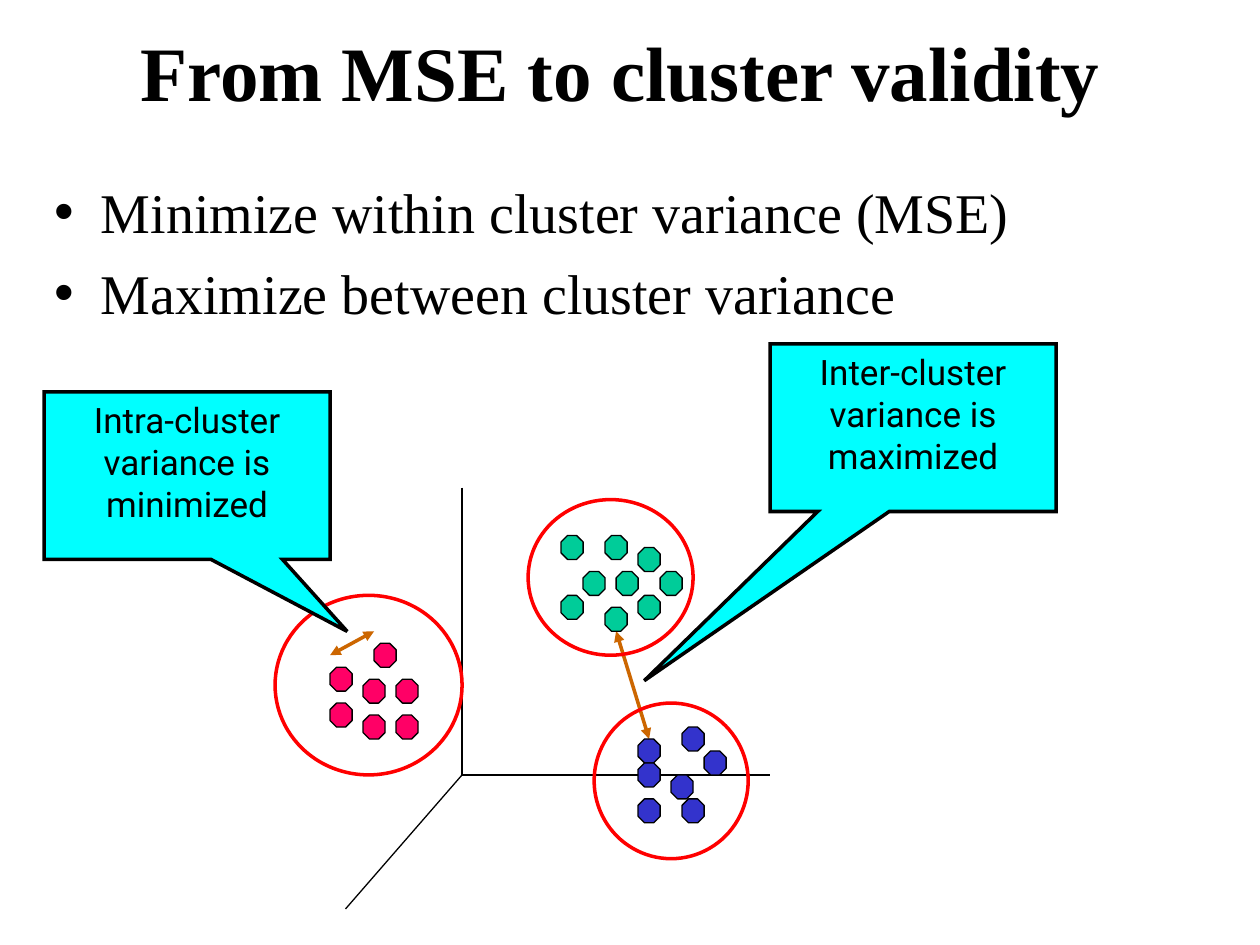
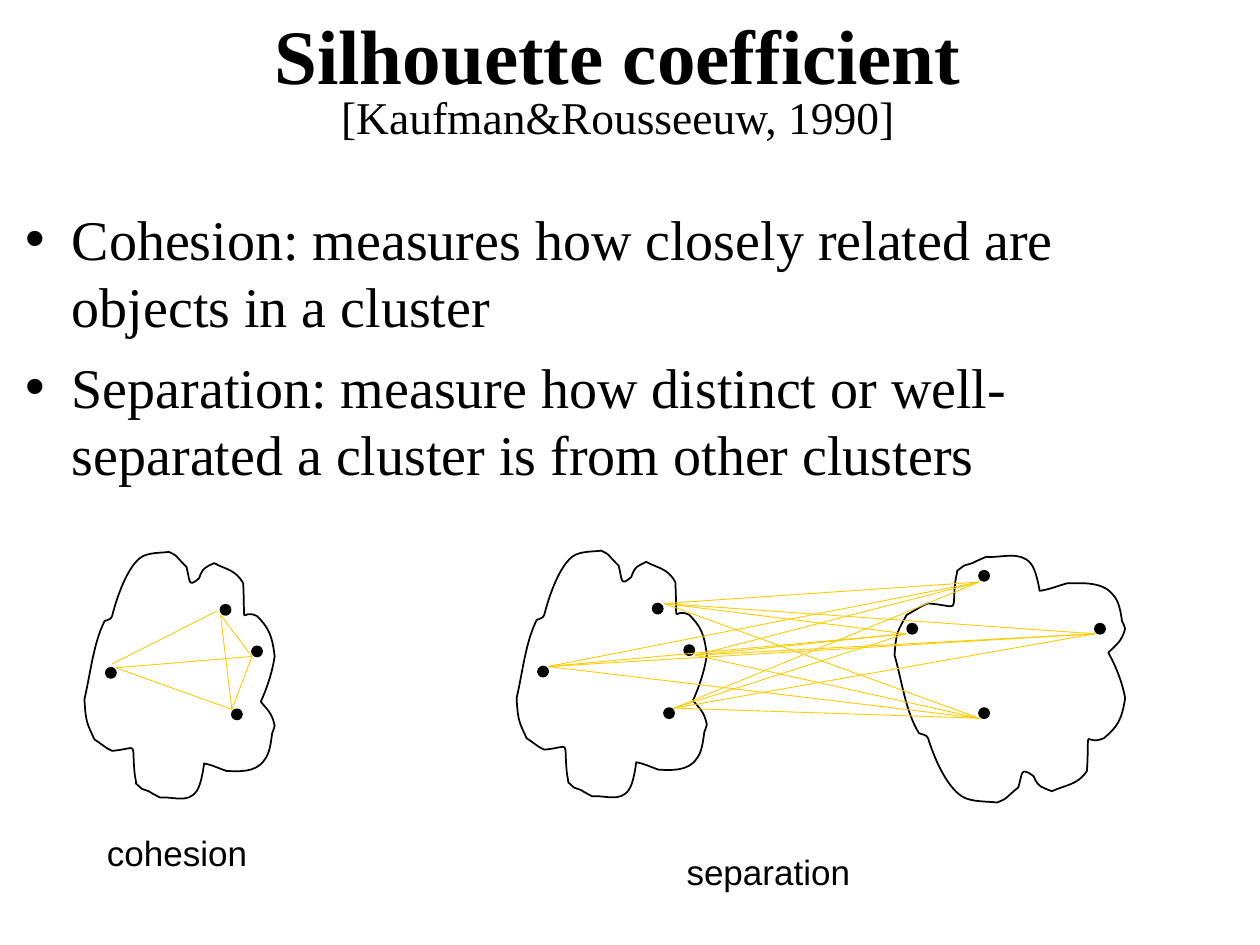
from itertools import combinations, product

from lxml.etree import SubElement
from pptx import Presentation
from pptx.dml.color import RGBColor
from pptx.enum.shapes import MSO_CONNECTOR, MSO_SHAPE as SHAPE
from pptx.enum.text import MSO_ANCHOR as ANCHOR, MSO_AUTO_SIZE as FIT, PP_ALIGN as ALIGN
from pptx.oxml.ns import qn
from pptx.util import Inches, Pt

COLORS = {
    "black": "000000", "green": "00CC99", "pink": "FF0066", "blue": "3333CC",
    "cyan": "00FFFF", "red": "FF0000", "brown": "CC6600", "gold": "FFCC00",
}
SERIF = "Times New Roman"


def style(sp, fill, line, width):
    sp.shadow.inherit = False
    if fill:
        sp.fill.solid()
        sp.fill.fore_color.rgb = RGBColor.from_string(COLORS[fill])
    else:
        sp.fill.background()
    sp.line.color.rgb = RGBColor.from_string(COLORS[line])
    sp.line.width = Pt(width)


def connect(s, start, end, color, width, arrows=False):
    cn = s.shapes.add_connector(
        MSO_CONNECTOR.STRAIGHT, *[Inches(v) for v in (*start, *end)])
    cn.line.color.rgb = RGBColor.from_string(COLORS[color])
    cn.line.width = Pt(width)
    if arrows:
        ln = cn.line._get_or_add_ln()
        for tag in ("a:headEnd", "a:tailEnd"):
            SubElement(ln, qn(tag), type="triangle")
    SubElement(cn._element.spPr, qn("a:effectLst"))


prs = Presentation()
prs.slide_width, prs.slide_height = Inches(10), Inches(7.5)

content = [
    ("From MSE to cluster validity", (0.2, 0.14, 9.45, 0.85), 1,
     ["Minimize within cluster variance (MSE)", "Maximize between cluster variance"],
     (0.43, 1.41, 7.62, 1.4)),
    ("Silhouette coefficient\v[Kaufman&Rousseeuw, 1990]", (0.24, 0.27, 9.33, 0.8), 0.8,
     ["Cohesion: measures how closely related are objects in a cluster",
      "Separation: measure how distinct or well-separated a cluster is from other clusters"],
     (0.2, 1.62, 9.37, 4.33)),
]
for title, title_box, spacing, bullets, body_box in content:
    s = prs.slides.add_slide(prs.slide_layouts[1])
    for sp, box in zip(s.placeholders, (title_box, body_box)):
        sp.left, sp.top, sp.width, sp.height = [Inches(v) for v in box]
        tf = sp.text_frame
        tf.margin_left = tf.margin_right = tf.margin_top = tf.margin_bottom = 0
        tf.auto_size = FIT.NONE
        tf.word_wrap = True

    tf = s.shapes.title.text_frame
    tf.vertical_anchor = ANCHOR.MIDDLE
    p = tf.paragraphs[0]
    p.text = title
    p.alignment = ALIGN.CENTER
    p.line_spacing = spacing
    for r, size, bold in zip(p.runs, (44, 26), (True, False)):
        r.font.name, r.font.size, r.font.bold = SERIF, Pt(size), bold
        r.font.color.rgb = RGBColor.from_string(COLORS["black"])

    tf = s.placeholders[1].text_frame
    tf.vertical_anchor = ANCHOR.TOP
    tf.text = "\n".join(bullets)
    for i, p in enumerate(tf.paragraphs):
        pPr = p._p.get_or_add_pPr()
        pPr.set("marL", str(Inches(0.37)))
        pPr.set("indent", str(-Inches(0.37)))
        p.space_before = Pt(8 if i else 0)
        p.line_spacing = 1.0
        p.runs[0].font.name, p.runs[0].font.size = SERIF, Pt(32)
        p.runs[0].font.color.rgb = RGBColor.from_string(COLORS["black"])

s = prs.slides[0]
LEFT, TOP = 2.62, 4.25
COL, ROW = 2.27 / 26, 1.33 / 14

axes = [((12, -4), (12, 20)), ((12, 20), (40, 20)), ((12, 20), (1.4, 31.2))]
arrows = [((29, 17), (26, 8)), ((0, 10), (4, 8))]
clusters = {
    "green": [(2, 3), (5, 3), (4, 0), (4, 6), (9, 3), (7, 1), (0, 0), (7, 5), (0, 5)],
    "pink": [(0, 11), (3, 12), (3, 15), (6, 12), (4, 9), (6, 15), (0, 14)],
    "blue": [(7, 17), (13, 18), (10, 20), (7, 22), (11, 22), (7, 19), (11, 16)],
}
offsets = {"green": 21, "pink": 0, "blue": 21}
callouts = [
    ("Inter-cluster variance is maximized", 40, -16, (-0.94, 1.51)),
    ("Intra-cluster variance is minimized", -26, -12, (0.56, 0.93)),
]
circles = [(-5, 5, 17, 15), (18, -3, 15, 13), (24, 14, 14, 13)]

for group, color, width in ((axes, "black", 0.75), (arrows, "brown", 2)):
    for ends in group:
        start, end = [(LEFT + c * COL, TOP + r * ROW) for c, r in ends]
        connect(s, start, end, color, width, group is arrows)

for color, cells in clusters.items():
    for col, row in cells:
        sp = s.shapes.add_shape(
            SHAPE.OCTAGON, Inches(LEFT + (col + offsets[color]) * COL),
            Inches(TOP + row * ROW), Inches(2 * COL), Inches(2 * ROW))
        style(sp, color, "black", 0.75)

for c, r, w, h in circles:
    sp = s.shapes.add_shape(
        SHAPE.OVAL, Inches(LEFT + c * COL), Inches(TOP + r * ROW),
        Inches(w * COL), Inches(h * ROW))
    style(sp, None, "red", 2)

for text, col, row, tip in callouts:
    sp = s.shapes.add_shape(
        SHAPE.RECTANGULAR_CALLOUT, Inches(LEFT + col * COL), Inches(TOP + row * ROW),
        Inches(26 * COL), Inches(14 * ROW))
    sp.adjustments[0], sp.adjustments[1] = tip
    style(sp, "cyan", "black", 2)
    SubElement(sp.line._get_or_add_ln(), qn("a:miter"), lim="800000")
    tf = sp.text_frame
    tf.text = text
    tf.word_wrap = True
    tf.vertical_anchor = ANCHOR.TOP
    p = tf.paragraphs[0]
    p.alignment = ALIGN.CENTER
    p.runs[0].font.name, p.runs[0].font.size = "Roboto", Pt(20)
    p.runs[0].font.color.rgb = RGBColor.from_string(COLORS["black"])

s = prs.slides[1]
blob_start = (16, 55)
blob_curves = [
    ((7, 73), (5, 96), (0, 117)), ((1, 135), (2, 136), (8, 149)),
    ((13, 152), (17, 156), (22, 158)), ((44, 156), (37, 149), (40, 177)),
    ((40, 179), (41, 181), (41, 184)), ((48, 190), (43, 187), (51, 190)),
    ((54, 192), (60, 195), (60, 195)), ((70, 194), (82, 200), (89, 190)),
    ((93, 185), (95, 168), (95, 168)), ((101, 169), (107, 172), (113, 174)),
    ((121, 174), (136, 176), (143, 165)), ((147, 160), (148, 152), (149, 144)),
    ((150, 142), (151, 138), (151, 138)), ((149, 128), (145, 125), (140, 119)),
    ((145, 108), (149, 96), (151, 83)), ((149, 66), (146, 60), (137, 51)),
    ((123, 44), (128, 65), (126, 25)), ((120, 14), (112, 14), (103, 9)),
    ((97, 12), (94, 12), (91, 21)), ((82, 29), (84, 23), (81, 12)),
    ((70, 1), (75, 4), (67, 0)), ((63, 1), (50, 0), (44, 5)),
    ((34, 13), (26, 35), (22, 51)), ((21, 54), (18, 54), (16, 55)),
]
left_dots = [(1.84, 5.63), (1.75, 4.8), (0.84, 5.3), (2, 5.13)]
right_dots = [(8.69, 4.95), (7.2, 4.95), (7.77, 5.62), (7.77, 4.53)]
blobs = [
    (0.67, 4.38, 1.51, False, left_dots),
    (4.1, 4.37, 1.51, False, [(x + 3.43, y - 0.01) for x, y in left_dots]),
    (7.1, 4.37, 1.83, True, right_dots),
]
for left, top, width, flipped, dots in blobs:
    fb = s.shapes.build_freeform(*blob_start, scale=Inches(0.01))
    fb.add_line_segments([curve[-1] for curve in blob_curves], close=True)
    sp = fb.convert_to_shape()
    sp.left, sp.top, sp.width, sp.height = [Inches(v) for v in (left, top, width, 2)]
    if flipped:
        sp._element.spPr.xfrm.set("flipV", "1")
    outline = next(sp._element.iter(qn("a:path")))
    outline.set("w", "151")
    outline.set("h", "200")
    for segment, curve in zip(outline.findall(qn("a:lnTo")), blob_curves):
        bezier = SubElement(outline, qn("a:cubicBezTo"))
        for x, y in curve:
            SubElement(bezier, qn("a:pt"), x=str(x), y=str(y))
        outline.replace(segment, bezier)
    style(sp, None, "black", 1)
    for x, y in dots:
        sp = s.shapes.add_shape(
            SHAPE.OVAL, Inches(x), Inches(y), Inches(0.08), Inches(0.08))
        style(sp, "black", "black", 1)

cohesion_ends = [(0.92, 5.3), (1.75, 4.88), (1.84, 5.63), (2, 5.21)]
near_ends = [(5.35, 5.62), (5.52, 5.2), (4.35, 5.29), (5.27, 4.79)]
far_ends = [(7.77, 5.7), (7.19, 5.03), (7.77, 4.62), (8.69, 5.03)]
links = [((0.89, 5.27), (1.72, 4.85)), *list(combinations(cohesion_ends, 2))[1:],
         *product(near_ends, far_ends)]
for start, end in links:
    connect(s, start, end, "gold", 0.5)

for text, x, y, width in (("cohesion", 0.75, 6.55, 1.35), ("separation", 5.35, 6.7, 1.52)):
    sp = s.shapes.add_textbox(Inches(x), Inches(y), Inches(width), Inches(0.44))
    tf = sp.text_frame
    tf.text = text
    tf.word_wrap = False
    tf.auto_size = FIT.SHAPE_TO_FIT_TEXT
    r = tf.paragraphs[0].runs[0]
    r.font.name, r.font.size = "Arial", Pt(20)
    r.font.color.rgb = RGBColor.from_string(COLORS["black"])

prs.save("out.pptx")
